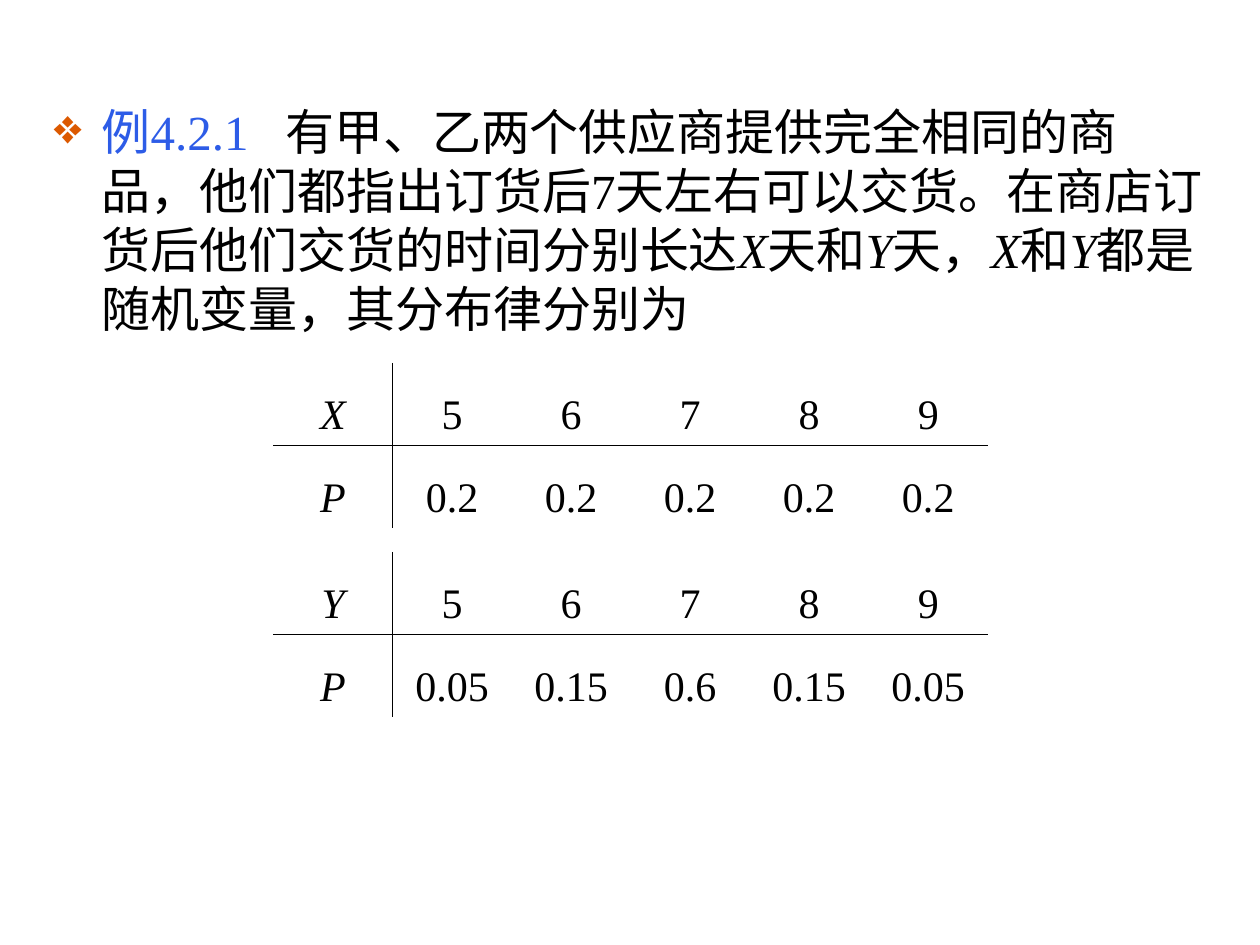
from dataclasses import dataclass

from lxml import etree
from pptx import Presentation
from pptx.dml.color import RGBColor
from pptx.enum.text import MSO_ANCHOR, PP_ALIGN
from pptx.oxml.ns import qn
from pptx.util import Inches, Pt

CENTER = PP_ALIGN.CENTER
TOP = MSO_ANCHOR.TOP
BLANK_LAYOUT = 6
NO_TABLE_STYLE = "{2D5ABB26-0587-4C30-8999-92F81FD0307C}"


@dataclass(frozen=True)
class Theme:
    font: str = "Times New Roman"
    ink: str = "000000"
    label: str = "2D5CE7"
    bullet: str = "DC5900"
    body_size: float = 28
    gap_size: float = 21
    table_size: float = 24
    rule_width: float = 0.45
    bullet_indent: float = 0.38


class SlideBuilder:
    """Places elements by shares of the slide's width and height."""

    def __init__(self, deck, theme):
        self.deck, self.theme = deck, theme
        self.page = deck.slides.add_slide(deck.slide_layouts[BLANK_LAYOUT])

    def area(self, left, top, width, height):
        across, down = self.deck.slide_width, self.deck.slide_height
        return [round(share * side) for share, side in
                zip((left, top, width, height), (across, down) * 2)]

    def set_font(self, para, size):
        para.font.name = self.theme.font
        para.font.size = Pt(size)
        para.font.color.rgb = RGBColor.from_string(self.theme.ink)

    def add_bullet(self, para):
        indent = Inches(self.theme.bullet_indent)
        props = para._p.get_or_add_pPr()
        props.set("marL", str(indent))
        props.set("indent", str(-indent))
        props.set("hangingPunct", "0")
        color = etree.Element(qn("a:buClr"))
        etree.SubElement(color, qn("a:srgbClr"), val=self.theme.bullet)
        size = etree.Element(qn("a:buSzPct"), val="100000")
        mark = etree.Element(qn("a:buChar"), char="❖")
        spacing = props.find(qn("a:spcBef"))
        for element in (mark, size, color):
            spacing.addnext(element)

    def bullet_text(self, place, label, spans):
        """Write a coloured label, then (text, italic) spans, as one bullet."""
        box = self.page.shapes.add_textbox(*self.area(*place))
        box.text_frame.word_wrap = True
        para = box.text_frame.paragraphs[0]
        para.space_before = Pt(7)
        self.set_font(para, self.theme.body_size)
        self.add_bullet(para)
        head = para.add_run()
        head.text = label
        head.font.color.rgb = RGBColor.from_string(self.theme.label)
        gap = para.add_run()
        gap.text = "　"
        gap.font.size = Pt(self.theme.gap_size)
        for text, italic in spans:
            span = para.add_run()
            span.text = text
            span.font.italic = italic

    def add_borders(self, cell, ruled):
        """Rule the given sides of a cell and clear the others."""
        props = cell._tc.get_or_add_tcPr()
        for index, side in enumerate("LRTB"):
            line = etree.Element(qn(f"a:ln{side}"), w=str(Pt(self.theme.rule_width)))
            if side in ruled:
                fill = etree.SubElement(line, qn("a:solidFill"))
                etree.SubElement(fill, qn("a:srgbClr"), val=self.theme.ink)
            else:
                etree.SubElement(line, qn("a:noFill"))
            props.insert(index, line)

    def distribution(self, place, rows):
        """Draw values over probabilities, with a cross of two rules."""
        frame = self.page.shapes.add_table(len(rows), len(rows[0]), *self.area(*place))
        table = frame.table
        table.first_row = table.horz_banding = False
        table._tbl.tblPr.find(qn("a:tableStyleId")).text = NO_TABLE_STYLE
        for r, values in enumerate(rows):
            for c, value in enumerate(values):
                cell = table.cell(r, c)
                cell.fill.background()
                cell.margin_left = cell.margin_right = Inches(0.08)
                cell.margin_bottom = 0
                cell.vertical_anchor = TOP
                cell.text = value
                para = cell.text_frame.paragraphs[0]
                para.alignment = CENTER
                para.line_spacing = 1.5
                self.set_font(para, self.theme.table_size)
                para.font.italic = c == 0
                upright = {0: "R", 1: "L"}.get(c, "")
                self.add_borders(cell, upright + ("T" if r else "B"))


def main():
    deck = Presentation()
    deck.slide_width, deck.slide_height = Inches(10), Inches(7.5)
    slide = SlideBuilder(deck, Theme())

    slide.bullet_text((0.033, 0.76 / 7.5, 0.934, 5.91 / 7.5), "例4.2.1", [
        ("有甲、乙两个供应商提供完全相同的商品，他们都指出订货后7天左右可以交货。"
         "在商店订货后他们交货的时间分别长达", False),
        ("X", True), ("天和", False), ("Y", True), ("天，", False),
        ("X", True), ("和", False), ("Y", True),
        ("都是随机变量，其分布律分别为", False),
    ])

    days = ["5", "6", "7", "8", "9"]
    distributions = [
        ("X", 2.88, ["0.2"] * 5),
        ("Y", 4.38, ["0.05", "0.15", "0.6", "0.15", "0.05"]),
    ]
    for name, top, chances in distributions:
        slide.distribution((0.217, top / 7.5, 0.567, 1.31 / 7.5),
                           [[name, *days], ["P", *chances]])

    deck.save("out.pptx")


if __name__ == "__main__":
    main()
